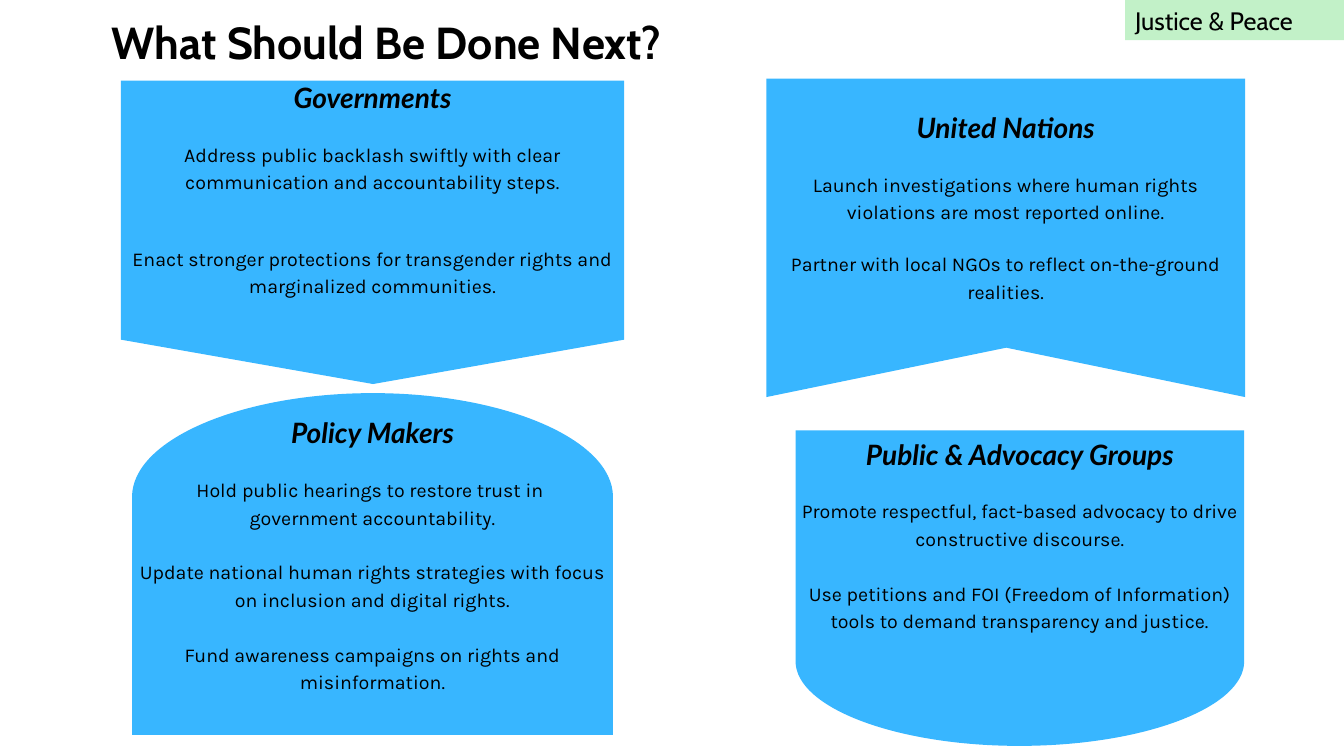
from lxml import etree
from pptx import Presentation, util as u
from pptx.dml.color import RGBColor
from pptx.enum import shapes, text
from pptx.oxml import ns

BLUE, GREEN, BLACK = "38B6FF", "C2F1C8", "000000"
ROUNDNESS = 0.55


def paint(color_format, hex_color):
    color_format.rgb = RGBColor.from_string(hex_color)


def style(paragraph, font_name, size, spacing=None, bold=False, italic=False):
    paragraph.line_spacing = u.Pt(spacing) if spacing else None
    for run in paragraph.runs:
        run.font.name, run.font.size = font_name, u.Pt(size)
        run.font.bold, run.font.italic = bold, italic
        paint(run.font.color, BLACK)


audiences = [
    ("Governments",
     [(6.19, 0.8), (6.19, 3.37), (3.7, 3.81), (1.2, 3.37), (1.2, 0.8)], {},
     (1.2, 0.7, 4.99, 2.66),
     [(17.7, "Address public backlash swiftly with clear communication and accountability steps."),
      (35.4, "Enact stronger protections for transgender rights and marginalized communities.")]),
    ("United Nations",
     [(12.35, 0.78), (12.35, 3.94), (9.98, 3.45), (7.6, 3.94), (7.6, 0.78)], {},
     (7.6, 1.0, 4.75, 2.45),
     [(17.7, "Launch investigations where human rights violations are most reported online."),
      (17.7, "Partner with local NGOs to reflect on-the-ground realities.")]),
    ("Policy Makers",
     [(1.31, 4.93), (3.7, 3.9), (6.08, 4.93), (6.08, 7.29), (1.31, 7.29)],
     {1: (1.31, 3.9), 2: (6.08, 3.9)},
     (1.31, 4.03, 4.77, 3.26),
     [(17.7, "Hold public hearings to restore trust in "),
      (0, "government accountability."),
      (19.6, "Update national human rights strategies with focus on inclusion and digital rights."),
      (19.6, "Fund awareness campaigns on rights and misinformation.")]),
    ("Public & Advocacy Groups",
     [(12.34, 6.56), (10.11, 7.4), (7.89, 6.56), (7.89, 4.27), (12.34, 4.27)],
     {1: (12.34, 7.4), 2: (7.89, 7.4)},
     (7.89, 4.24, 4.45, 2.44),
     [(17.7, "Promote respectful, fact-based advocacy to drive constructive discourse."),
      (19.6, "Use petitions and FOI (Freedom of Information) tools to demand transparency and justice.")]),
]

deck = Presentation()
deck.slide_width, deck.slide_height = u.Inches(13.33), u.Inches(7.5)
slide = deck.slides.add_slide(deck.slide_layouts[5])

for audience, outline, bends, area, actions in audiences:
    card = slide.shapes.add_group_shape()
    corners = [(u.Inches(x), u.Inches(y)) for x, y in outline]
    builder = card.shapes.build_freeform(*corners[0])
    builder.add_line_segments(corners[1:], close=True)
    panel = builder.convert_to_shape()
    panel.shadow.inherit = False
    panel.fill.solid()
    paint(panel.fill.fore_color, BLUE)
    panel.line.fill.background()

    edges = list(panel.element.iter(ns.qn("a:lnTo")))
    for position, bend in bends.items():
        edge = edges[position - 1]
        start, end = outline[position - 1], outline[position]
        controls = [[p + ROUNDNESS * (b - p) for p, b in zip(point, bend)]
                    for point in (start, end)]
        curve = etree.Element(ns.qn("a:cubicBezTo"))
        for x, y in controls + [end]:
            etree.SubElement(curve, ns.qn("a:pt"),
                             x=str(u.Inches(x) - panel.left),
                             y=str(u.Inches(y) - panel.top))
        edge.getparent().replace(edge, curve)

    advice = card.shapes.add_textbox(*map(u.Inches, area)).text_frame
    advice.word_wrap = True
    advice.margin_left = advice.margin_right = u.Inches(0.04)
    advice.margin_top = advice.margin_bottom = u.Inches(0.04)
    heading = advice.paragraphs[0]
    heading.text = audience
    heading.alignment = text.PP_ALIGN.CENTER
    style(heading, "Lato", 20, 28, bold=True, italic=True)
    for gap, wording in actions:
        action = advice.add_paragraph()
        action.text = wording
        action.alignment = text.PP_ALIGN.CENTER
        action.space_before = u.Pt(gap)
        style(action, "Karla", 14, 19.6)

title = slide.shapes.title
title.left, title.top = u.Inches(0.15), u.Inches(0.01)
title.width, title.height = u.Inches(7.37), u.Inches(0.64)
question = title.text_frame
question.text = "What Should Be Done Next?"
question.word_wrap = True
question.auto_size = text.MSO_AUTO_SIZE.NONE
question.vertical_anchor = text.MSO_ANCHOR.TOP
question.margin_left = question.margin_right = 0
question.margin_top = question.margin_bottom = 0
question.paragraphs[0].alignment = text.PP_ALIGN.CENTER
style(question.paragraphs[0], "Cabin", 32, 48.5, bold=True)

theme = slide.shapes.add_shape(
    shapes.MSO_SHAPE.RECTANGLE, u.Inches(11.16), 0, u.Inches(2.17), u.Inches(0.4))
theme.shadow.inherit = False
theme.fill.solid()
paint(theme.fill.fore_color, GREEN)
theme.line.fill.background()
theme.text_frame.text = "Justice & Peace"
theme.text_frame.vertical_anchor = text.MSO_ANCHOR.TOP
theme.text_frame.paragraphs[0].alignment = text.PP_ALIGN.LEFT
style(theme.text_frame.paragraphs[0], "Cabin", 18)

deck.save("out.pptx")
